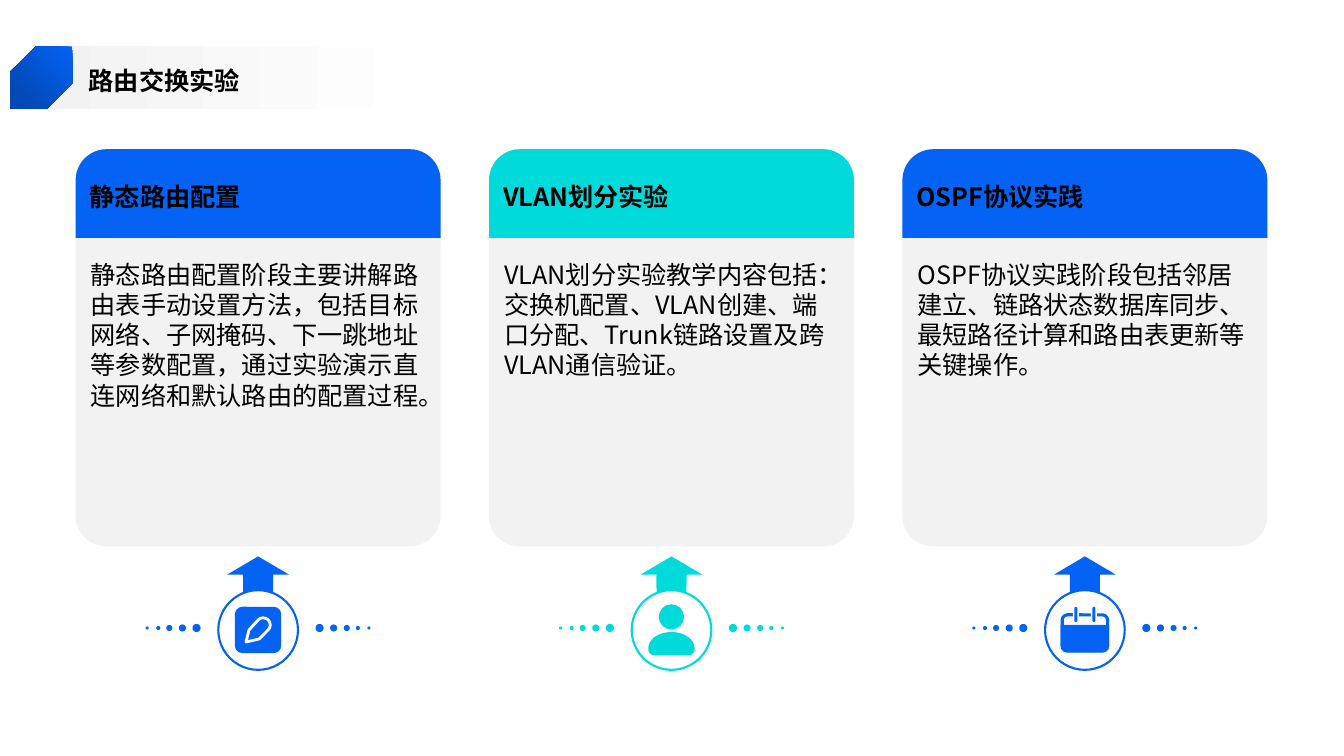
from math import cos, radians, sin

from lxml import etree
from pptx import Presentation
from pptx.dml.color import RGBColor
from pptx.enum.shapes import MSO_SHAPE
from pptx.enum.text import MSO_ANCHOR, MSO_AUTO_SIZE, PP_ALIGN
from pptx.oxml.ns import qn
from pptx.util import Inches, Pt

ELLIPSE, RECTANGLE = MSO_SHAPE.OVAL, MSO_SHAPE.RECTANGLE
ROUNDED, TOP_ROUNDED = MSO_SHAPE.ROUNDED_RECTANGLE, MSO_SHAPE.ROUND_2_SAME_RECTANGLE
SNIPPED = MSO_SHAPE.SNIP_2_DIAG_RECTANGLE
TOP, MIDDLE = MSO_ANCHOR.TOP, MSO_ANCHOR.MIDDLE
LEFT, NO_AUTOFIT = PP_ALIGN.LEFT, MSO_AUTO_SIZE.NONE

FONT = "Noto Sans CJK SC"
COLORS = {"blue": "0462F5", "navy": "034AB8", "cyan": "00DADA",
          "gray": "F2F2F2", "white": "FFFFFF", "black": "000000"}
CARDS = [
    ("静态路由配置", "静态路由配置阶段主要讲解路由表手动设置方法，包括目标网络、子网掩码、"
     "下一跳地址等参数配置，通过实验演示直连网络和默认路由的配置过程。", "blue"),
    ("VLAN划分实验", "VLAN划分实验教学内容包括：交换机配置、VLAN创建、端口分配、"
     "Trunk链路设置及跨VLAN通信验证。", "cyan"),
    ("OSPF协议实践", "OSPF协议实践阶段包括邻居建立、链路状态数据库同步、"
     "最短路径计算和路由表更新等关键操作。", "blue"),
]
CARD_LEFT, CARD_PITCH, CARD_WIDTH = 0.75, 4.1, 3.62
RING_Y, RING_RADIUS = 6.25, 0.395
DOTS = [(0.61, 0.08), (0.75, 0.07), (0.88, 0.06), (0.99, 0.04), (1.1, 0.03)]


def rgb(color):
    return RGBColor.from_string(COLORS[color])


def paint(shape, fill=None, line=None, width=1.5):
    shape.shadow.inherit = False
    if fill:
        shape.fill.solid()
        shape.fill.fore_color.rgb = rgb(fill)
    else:
        shape.fill.background()
    if line:
        shape.line.color.rgb = rgb(line)
        shape.line.width = Pt(width)
    else:
        shape.line.fill.background()
    return shape


def add_preset(slide, kind, box, fill=None, line=None, width=1.5, adjust=()):
    shape = slide.shapes.add_shape(kind, *map(Inches, box))
    for index, value in enumerate(adjust):
        shape.adjustments[index] = value
    return paint(shape, fill, line, width)


def set_gradient(shape, start, end, angle):
    shape.fill.gradient()
    shape.fill.gradient_angle = angle
    for stop, color, position in zip(shape.fill.gradient_stops, (start, end), (0, 0.8)):
        stop.color.rgb = rgb(color)
        stop.position = position


def add_outline(slide, contours, fill=None, line=None, width=1.5):
    builder = None
    for contour in contours:
        points = [(Inches(x), Inches(y)) for x, y in contour]
        if builder:
            builder.move_to(*points[0])
        else:
            builder = slide.shapes.build_freeform(*points[0])
        builder.add_line_segments(points[1:], close=True)
    return paint(builder.convert_to_shape(), fill, line, width)


def arc(x, y, rx, ry, start, end, steps=16):
    angles = [radians(start + (end - start) * i / steps) for i in range(steps + 1)]
    return [(x + rx * cos(a), y + ry * sin(a)) for a in angles]


def format_text(shape, text, box, bold=False, anchor=TOP, inset=0.05):
    shape.left, shape.top, shape.width, shape.height = map(Inches, box)
    frame = shape.text_frame
    frame_format = {"word_wrap": True, "auto_size": NO_AUTOFIT, "vertical_anchor": anchor,
                    "margin_left": 0, "margin_right": 0,
                    "margin_top": Inches(inset), "margin_bottom": Inches(inset)}
    for key, value in frame_format.items():
        setattr(frame, key, value)
    frame.text = text
    paragraph = frame.paragraphs[0]
    paragraph.alignment = LEFT
    font = paragraph.runs[0].font
    for key, value in {"size": Pt(18), "bold": bold, "name": FONT}.items():
        setattr(font, key, value)
    font.color.rgb = rgb("black")
    run_properties = paragraph.runs[0]._r.get_or_add_rPr()
    etree.SubElement(run_properties, qn("a:ea")).set("typeface", FONT)


def add_text(slide, text, box, **options):
    format_text(slide.shapes.add_textbox(*map(Inches, box)), text, box, **options)


def add_heading(slide, text):
    band = add_preset(slide, RECTANGLE, (0.33, 0.46, 4.92, 0.62), "gray")
    set_gradient(band, "gray", "white", 0)
    # Bring the title in front of its band
    title = slide.shapes.title
    slide.shapes._spTree.append(title._element)
    format_text(title, text, (0.88, 0.54, 11.88, 0.51), bold=True, anchor=MIDDLE, inset=0)
    badge = add_preset(slide, SNIPPED, (0.1, 0.46, 0.62, 0.62), "blue", adjust=(0, 0.41))
    set_gradient(badge, "blue", "navy", 315)
    badge._element.spPr.find(qn("a:xfrm")).set("flipH", "1")


def add_card(slide, left, heading, body, color):
    add_preset(slide, ROUNDED, (left, 1.48, CARD_WIDTH, 3.94), "gray", adjust=(0.084,))
    add_preset(slide, TOP_ROUNDED, (left, 1.48, CARD_WIDTH, 0.88), color, adjust=(0.35, 0))
    add_text(slide, body, (left + 0.15, 2.52, 3.33, 2.17))
    add_text(slide, heading, (left + 0.14, 1.6, 3.35, 0.69), bold=True, anchor=MIDDLE)


def add_marker(slide, x, color):
    # Ring, arrow resting on it, and dots on both sides
    add_preset(slide, ELLIPSE, (x - RING_RADIUS, RING_Y - RING_RADIUS,
                                2 * RING_RADIUS, 2 * RING_RADIUS), line=color)
    arrow = [(x + 0.15, 5.7), (x + 0.305, 5.7), (x, 5.52), (x - 0.305, 5.7), (x - 0.15, 5.7)]
    add_outline(slide, [arrow + arc(x, RING_Y, 0.395, 0.395, 248, 292)], color)
    for side in (-1, 1):
        add_outline(slide, [arc(x + side * offset, 6.23, size / 2, size / 2, 0, 360)
                            for offset, size in DOTS], color)


def add_pen(slide, x, color):
    add_preset(slide, ROUNDED, (x - 0.23, 6.02, 0.46, 0.46), color, adjust=(0.16,))
    pen = [(x - 0.12, 6.37), (x - 0.09, 6.25)] + arc(x + 0.05, 6.2, 0.07, 0.07, 225, 405)
    add_outline(slide, [pen + [(x + 0.01, 6.34)]], line="white", width=2)


def add_person(slide, x, color):
    shoulders = (arc(x, 6.43, 0.23, 0.16, 180, 360)
                 + arc(x + 0.17, 6.44, 0.06, 0.06, 0, 90)
                 + arc(x - 0.17, 6.44, 0.06, 0.06, 90, 180))
    add_outline(slide, [arc(x, 6.12, 0.125, 0.125, 0, 360), shoulders], color)


def add_calendar(slide, x, color):
    add_preset(slide, ROUNDED, (x - 0.225, 6.1, 0.45, 0.36), line=color, width=2.25,
               adjust=(0.14,))
    page = add_preset(slide, TOP_ROUNDED, (x - 0.24, 6.2, 0.48, 0.27), color, adjust=(0.22, 0))
    page.rotation = 180
    for ring_x in (x - 0.09, x + 0.09):
        add_preset(slide, RECTANGLE, (ring_x - 0.03, 6.07, 0.06, 0.05), "white")
        add_preset(slide, ROUNDED, (ring_x - 0.015, 6.02, 0.03, 0.15), color, adjust=(0.5,))


def main():
    deck = Presentation()
    deck.slide_width, deck.slide_height = Inches(13.33), Inches(7.5)
    slide = deck.slides.add_slide(deck.slide_layouts[5])
    add_heading(slide, "路由交换实验")
    # Cards with the marker and icon below each
    icons = (add_pen, add_person, add_calendar)
    for index, ((heading, body, color), add_icon) in enumerate(zip(CARDS, icons)):
        left = CARD_LEFT + index * CARD_PITCH
        center = left + CARD_WIDTH / 2
        add_card(slide, left, heading, body, color)
        add_marker(slide, center, color)
        add_icon(slide, center, color)
    deck.save("out.pptx")


if __name__ == "__main__":
    main()
